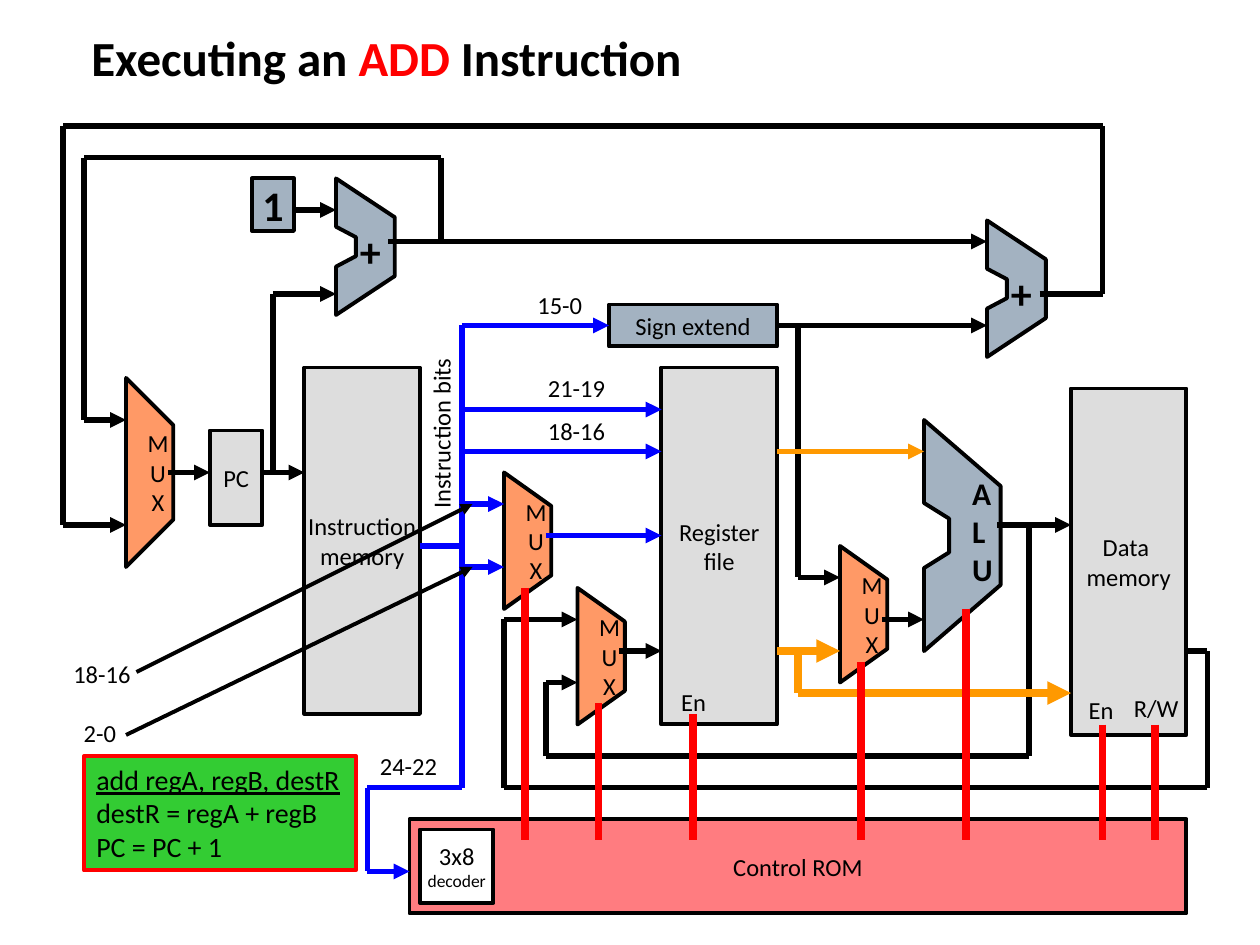
from lxml import etree
from pptx import Presentation
from pptx.dml.color import RGBColor
from pptx.enum.shapes import MSO_CONNECTOR, MSO_SHAPE
from pptx.enum.text import MSO_ANCHOR, PP_ALIGN
from pptx.oxml.ns import qn
from pptx.util import Pt

RECTANGLE = MSO_SHAPE.RECTANGLE
STRAIGHT = MSO_CONNECTOR.STRAIGHT
TOP, MIDDLE = MSO_ANCHOR.TOP, MSO_ANCHOR.MIDDLE
LEFT, CENTER = PP_ALIGN.LEFT, PP_ALIGN.CENTER

PX = 7620  # 120 px to the inch, so the diagram sits on a 10 px grid
FONT = "Calibri"
BLACK, WHITE, RED, BLUE, ORANGE = "000000", "FFFFFF", "FF0000", "0000FF", "FF9900"
GREY, STEEL, SALMON, PINK, GREEN = "DDDDDD", "A3B2C1", "FF9966", "FF7C80", "33CC33"

TITLE = [("Executing an ", BLACK), ("ADD", RED), (" Instruction", BLACK)]

# lines, (left, top, width, height), fill, font size, bold
BOXES = [
    (["PC"], (200, 410, 50, 90), GREY, 14, False),
    (["Instruction", "memory"], (290, 350, 110, 330), GREY, 14, False),
    (["Register", "file"], (630, 350, 110, 340), GREY, 14, False),
    (["Data ", "memory"], (1020, 370, 110, 330), GREY, 14, False),
    (["Control ROM"], (390, 780, 740, 90), PINK, 14, False),
    (["Sign extend"], (580, 290, 160, 40), STEEL, 14, False),
    (["1"], (240, 170, 40, 50), STEEL, 24, True),
    (["3x8", "decoder"], (400, 790, 70, 70), WHITE, 14, False),
]
DECODER_SMALL_SIZE = 10

MUXES = [(120, 360, 45, 180), (480, 450, 45, 130),
         (550, 560, 45, 130), (800, 520, 45, 130)]
ADDERS = [(320, 170, 56, 130), (940, 210, 56, 130), (880, 400, 73, 220)]

# Outlines as fractions of width and height
MUX_OUTLINE = [(0, 0), (1, 1 / 4), (1, 3 / 4), (0, 1)]
ADDER_OUTLINE = [(0, 0), (1, 2 / 7), (1, 5 / 7), (0, 1),
                 (0, 9 / 14), (1 / 3, 4 / 7), (1 / 3, 3 / 7), (0, 5 / 14)]

# colour, width, arrow at the end, corner points
WIRES = [
    (BLACK, 3, True, [(280, 200), (320, 200)]),
    (BLACK, 3, True, [(370, 230), (940, 230)]),
    (BLACK, 3, True, [(420, 230), (420, 150), (80, 150), (80, 400), (120, 400)]),
    (BLACK, 3, True, [(990, 280), (1050, 280), (1050, 120), (60, 120), (60, 500), (120, 500)]),
    (BLACK, 3, True, [(160, 450), (200, 450)]),
    (BLACK, 3, True, [(250, 450), (290, 450)]),
    (BLACK, 3, True, [(260, 450), (260, 280), (320, 280)]),
    (BLACK, 3, True, [(740, 310), (940, 310)]),
    (BLACK, 3, True, [(760, 310), (760, 550), (800, 550)]),
    (BLACK, 3, True, [(840, 590), (880, 590)]),
    (BLACK, 3, True, [(590, 620), (630, 620)]),
    (BLACK, 3, True, [(950, 500), (1020, 500)]),
    (BLACK, 3, True, [(980, 500), (980, 720), (520, 720), (520, 650), (550, 650)]),
    (BLACK, 3, True, [(1130, 620), (1150, 620), (1150, 750), (480, 750), (480, 590), (550, 590)]),
    (BLUE, 3, False, [(400, 520), (440, 520)]),
    (BLUE, 3, True, [(440, 310), (580, 310)]),
    (BLUE, 3, True, [(440, 390), (630, 390)]),
    (BLUE, 3, True, [(440, 430), (630, 430)]),
    (BLUE, 3, True, [(440, 480), (480, 480)]),
    (BLUE, 3, True, [(440, 540), (480, 540)]),
    (BLUE, 3, True, [(520, 510), (630, 510)]),
    (BLUE, 3, True, [(440, 310), (440, 750), (350, 750), (350, 830), (390, 830)]),
    (ORANGE, 3, True, [(740, 430), (880, 430)]),
    (ORANGE, 4.5, True, [(740, 620), (800, 620)]),
    (ORANGE, 4.5, True, [(760, 620), (760, 660), (1020, 660)]),
    (BLACK, 2.25, True, [(130, 640), (450, 480)]),
    (BLACK, 2.25, True, [(120, 700), (450, 540)]),
]

# Control lines: x and top, all ending inside the control ROM
CONTROLS = [(500, 560), (570, 670), (660, 680), (820, 630),
            (920, 580), (1050, 690), (1100, 690)]
CONTROL_BOTTOM = 800

# lines, (left, top, width, height), font size, bold, rotation
LABELS = [
    (["+"], (331, 209, 44, 61), 24, True, 0),
    (["+"], (951, 249, 44, 61), 24, True, 0),
    (["A", "L", "U"], (914, 446, 44, 121), 18, True, 0),
    (["R/W"], (1068, 654, 67, 41), 14, False, 0),
    (["En"], (1025, 656, 48, 41), 14, False, 0),
    (["En"], (637, 648, 48, 41), 14, False, 0),
    (["Instruction bits"], (336, 391, 169, 41), 14, False, 270),
    (["15-0"], (500, 270, 67, 41), 14, False, 0),
    (["21-19"], (510, 349, 79, 41), 14, False, 0),
    (["18-16"], (510, 390, 79, 41), 14, False, 0),
    (["24-22"], (350, 709, 79, 41), 14, False, 0),
    (["18-16"], (58, 622, 79, 41), 14, False, 0),
    (["2-0"], (68, 678, 55, 41), 14, False, 0),
]

EXAMPLE = ["add regA, regB, destR", "destR = regA + regB", "PC = PC + 1"]
EXAMPLE_PLACE = (80, 720, 259, 109)


def color(hex_text):
    return RGBColor.from_string(hex_text)


def emu(lengths):
    return [round(length * PX) for length in lengths]


def write(shape, lines, size, bold=False, align=LEFT, anchor=TOP):
    frame = shape.text_frame
    frame.word_wrap = False
    frame.vertical_anchor = anchor
    frame.text = "\n".join(lines)
    for para in frame.paragraphs:
        para.alignment = align
        para.font.name = FONT
        para.font.size = Pt(size)
        para.font.bold = bold
        para.font.color.rgb = color(BLACK)


def paint(shape, fill, line=BLACK):
    shape.shadow.inherit = False
    shape.fill.solid()
    shape.fill.fore_color.rgb = color(fill)
    shape.line.color.rgb = color(line)
    shape.line.width = Pt(2.25)


def add_box(shapes, place, fill, line=BLACK):
    box = shapes.add_shape(RECTANGLE, *emu(place))
    paint(box, fill, line)
    return box


def add_outline(shapes, outline, place, fill):
    left, top, width, height = place
    points = [(left + width * x, top + height * y) for x, y in outline]
    builder = shapes.build_freeform(*points[0], scale=PX)
    builder.add_line_segments(points[1:], close=True)
    shape = builder.convert_to_shape()
    paint(shape, fill)
    return shape


def side_middles(box, place):
    """Map the middle of each side to the box and its connection site."""
    left, top, width, height = place
    x, y = left + width / 2, top + height / 2
    middles = [(x, top), (left, y), (x, top + height), (left + width, y)]
    return {point: (box, site) for site, point in enumerate(middles)}


def add_line(shapes, start, end, line_color, width, arrow, joints):
    line = shapes.add_connector(STRAIGHT, *emu(start + end))
    line.line.color.rgb = color(line_color)
    line.line.width = Pt(width)
    if arrow:
        etree.SubElement(line.line._get_or_add_ln(), qn("a:tailEnd"), type="triangle")
    etree.SubElement(line._element.spPr, qn("a:effectLst"))
    if start in joints:
        line.begin_connect(*joints[start])
    if end in joints:
        line.end_connect(*joints[end])


def add_wire(shapes, points, line_color, width, arrow, joints):
    last = len(points) - 2
    for index, (start, end) in enumerate(zip(points, points[1:])):
        add_line(shapes, start, end, line_color, width, arrow and index == last, joints)


def main():
    deck = Presentation()
    deck.slide_width, deck.slide_height = emu((1200, 900))
    slide = deck.slides.add_slide(deck.slide_layouts[5])
    shapes = slide.shapes

    title = shapes.title
    title.left, title.top, title.width, title.height = emu((75, 20, 1050, 110))
    write(title, [""], 28, True)
    for text, text_color in TITLE:
        span = title.text_frame.paragraphs[0].add_run()
        span.text = text
        span.font.color.rgb = color(text_color)

    joints = {}
    for lines, place, fill, size, bold in BOXES:
        box = add_box(shapes, place, fill)
        write(box, lines, size, bold, CENTER, MIDDLE)
        joints.update(side_middles(box, place))
    box.text_frame.paragraphs[1].font.size = Pt(DECODER_SMALL_SIZE)

    for place in MUXES:
        mux = add_outline(shapes, MUX_OUTLINE, place, SALMON)
        write(mux, "MUX", 14, align=CENTER, anchor=MIDDLE)
        mux.text_frame.margin_left, mux.text_frame.margin_right = emu((16, 0))
    for place in ADDERS:
        add_outline(shapes, ADDER_OUTLINE, place, STEEL)

    for line_color, width, arrow, points in WIRES:
        add_wire(shapes, points, line_color, width, arrow, joints)
    for x, top in CONTROLS:
        add_line(shapes, (x, top), (x, CONTROL_BOTTOM), RED, 4.5, False, {})

    for lines, place, size, bold, rotation in LABELS:
        label = shapes.add_textbox(*emu(place))
        label.rotation = rotation
        write(label, lines, size, bold)

    example = add_box(shapes, EXAMPLE_PLACE, GREEN, RED)
    write(example, EXAMPLE, 16)
    example.text_frame.paragraphs[0].font.underline = True

    deck.save("out.pptx")


if __name__ == "__main__":
    main()
